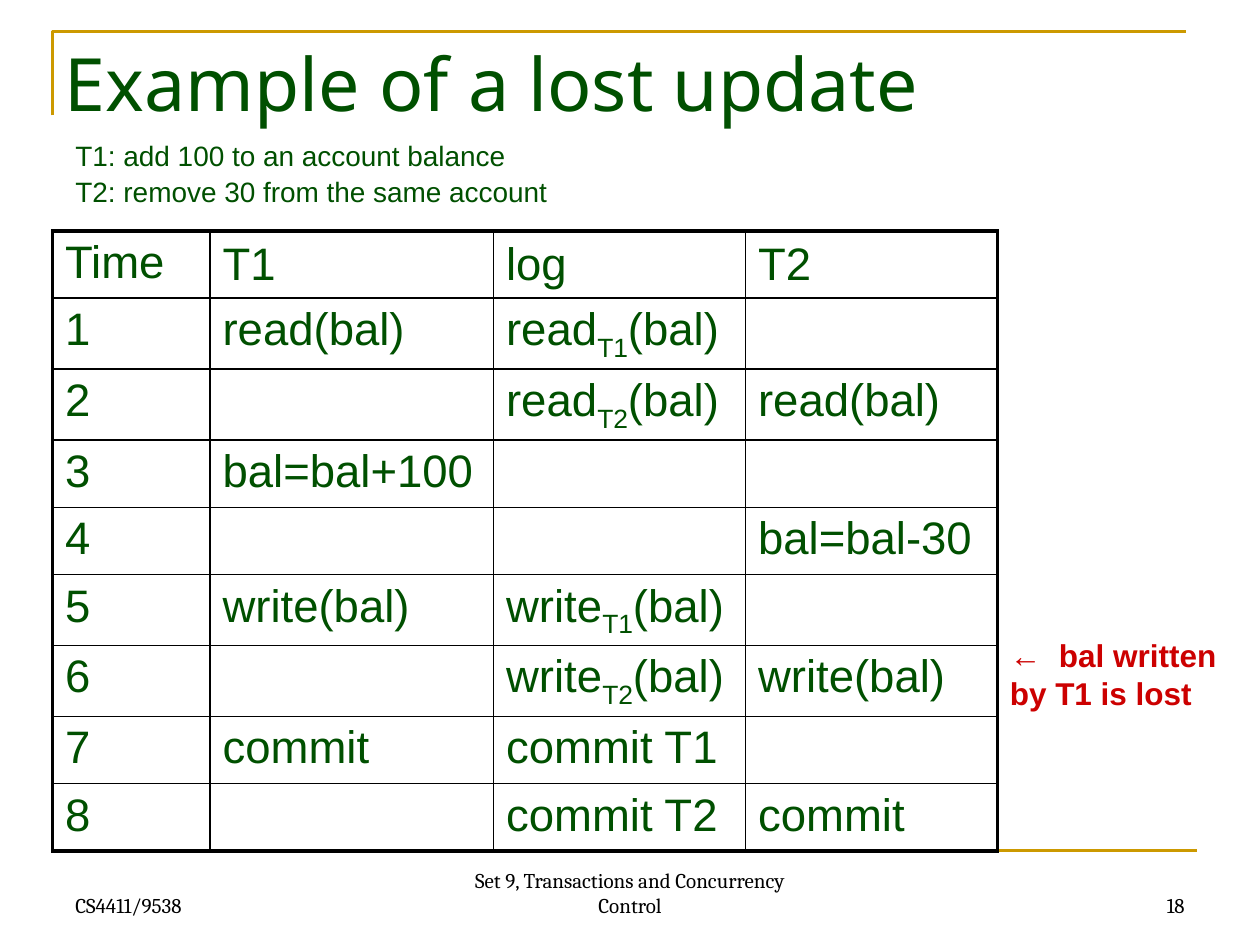
from lxml import etree
from pptx import Presentation
from pptx.dml.color import RGBColor
from pptx.enum.shapes import MSO_CONNECTOR
from pptx.enum.text import MSO_ANCHOR, PP_ALIGN
from pptx.oxml.ns import qn
from pptx.util import Inches, Pt

STRAIGHT = MSO_CONNECTOR.STRAIGHT
TOP, MIDDLE, BOTTOM = MSO_ANCHOR.TOP, MSO_ANCHOR.MIDDLE, MSO_ANCHOR.BOTTOM
LEFT, CENTER, RIGHT = PP_ALIGN.LEFT, PP_ALIGN.CENTER, PP_ALIGN.RIGHT

COLORS = {"green": "005000", "gold": "CC9900", "red": "CC0000", "black": "000000"}

# Slide grid: 120 columns by 90 rows, twelve to the inch
GRID_COLUMNS, GRID_ROWS = 120, 90
COLUMN_WIDTHS = [15, 27, 24, 24]
ROW_HEIGHT = 6.4
THIN, THICK = 1, 2.25

# A tuple holds a text, its subscript and the text that follows
SCHEDULE = [
    ["Time", "T1", "log", "T2"],
    ["1", "read(bal)", ("read", "T1", "(bal)"), ""],
    ["2", "", ("read", "T2", "(bal)"), "read(bal)"],
    ["3", "bal=bal+100", "", ""],
    ["4", "", "", "bal=bal-30"],
    ["5", "write(bal)", ("write", "T1", "(bal)"), ""],
    ["6", "", ("write", "T2", "(bal)"), "write(bal)"],
    ["7", "commit", "commit T1", ""],
    ["8", "", "commit T2", "commit"],
]


def grid(units):
    return Inches(units / 12)


def rgb(name):
    return RGBColor.from_string(COLORS[name])


def add_span(para, text, size=12, font="Arial", color="green", bold=False, subscript=False):
    span = para.add_run()
    span.text = text
    span.font.size = Pt(size)
    span.font.name = font
    span.font.bold = bold
    span.font.color.rgb = rgb(color)
    if subscript:
        span._r.get_or_add_rPr().set("baseline", "-25000")


def add_text(page, lines, place, anchor=TOP, align=LEFT,
             spacing=None, gap=0, tab=None, **style):
    box = page.shapes.add_textbox(*map(grid, place))
    frame = box.text_frame
    frame.word_wrap = True
    frame.vertical_anchor = anchor
    for index, line in enumerate(lines):
        para = frame.paragraphs[0] if index == 0 else frame.add_paragraph()
        para.alignment = align
        para.line_spacing = spacing
        if index and gap:
            para.space_before = Pt(gap)
        if tab and "\t" in line:
            stops = etree.SubElement(para._p.get_or_add_pPr(), qn("a:tabLst"))
            etree.SubElement(stops, qn("a:tab"), pos=str(Inches(tab)), algn="l")
        add_span(para, line, **style)


def style_line(shape):
    shape.line.color.rgb = rgb("gold")
    shape.line.width = Pt(1.5)


def add_corner_rule(page):
    builder = page.shapes.build_freeform(grid(5), grid(11))
    builder.add_line_segments([(grid(5), grid(3)), (grid(113), grid(3))], close=False)
    corner = builder.convert_to_shape()
    corner.shadow.inherit = False
    corner.fill.background()
    style_line(corner)


def add_bottom_rule(page):
    rule = page.shapes.add_connector(STRAIGHT, grid(6), grid(81), grid(114), grid(81))
    style_line(rule)
    etree.SubElement(rule._element.spPr, qn("a:effectLst"))


def set_borders(cell, widths):
    properties = cell._tc.get_or_add_tcPr()
    for index, (side, width) in enumerate(zip("LRTB", widths)):
        border = etree.Element(qn(f"a:ln{side}"), w=str(Pt(width)))
        fill = etree.SubElement(border, qn("a:solidFill"))
        etree.SubElement(fill, qn("a:srgbClr"), val=COLORS["black"])
        properties.insert(index, border)


def add_schedule(page, left, top):
    row_count, column_count = len(SCHEDULE), len(COLUMN_WIDTHS)
    table = page.shapes.add_table(
        row_count, column_count, grid(left), grid(top),
        grid(sum(COLUMN_WIDTHS)), grid(ROW_HEIGHT * row_count)).table
    table.first_row = table.horz_banding = False
    for column, width in zip(table.columns, COLUMN_WIDTHS):
        column.width = grid(width)
    for r, entries in enumerate(SCHEDULE):
        table.rows[r].height = grid(ROW_HEIGHT)
        for c, entry in enumerate(entries):
            cell = table.cell(r, c)
            cell.fill.background()
            cell.vertical_anchor = MIDDLE if r == 0 and c > 0 else TOP
            outer = (c == 0, c == column_count - 1, r == 0, r == row_count - 1)
            set_borders(cell, [THICK if edge else THIN for edge in outer])
            parts = entry if isinstance(entry, tuple) else (entry,)
            if len(parts) > 1:
                # The subscript reaches low, so a smaller inset keeps the row short
                cell.margin_bottom = Inches(0.02)
            for index, part in enumerate(parts):
                if part:
                    add_span(cell.text_frame.paragraphs[0], part, size=26,
                             subscript=index == 1)


def main():
    deck = Presentation()
    deck.slide_width, deck.slide_height = grid(GRID_COLUMNS), grid(GRID_ROWS)
    page = deck.slides.add_slide(deck.slide_layouts[6])

    # Frame rules
    add_corner_rule(page)
    add_bottom_rule(page)

    # Title and the two transactions
    add_text(page, ["Example of a lost update"], (5, 3, 108, 15), size=42, font="Noto Sans")
    add_text(page, ["T1: add 100 to an account balance", "T2: remove 30 from the same account"],
             (6, 13, 63, 8), size=16, spacing=0.9, gap=3.2)

    # Schedule and the remark beside step 6
    add_schedule(page, 5, 22)
    add_text(page, ["←\tbal written", "by T1 is lost"], (95, 60, 23, 8.4),
             tab=0.39, size=18, color="red", bold=True)

    # Footer
    footer = [
        ("CS4411/9538", 6, 28, LEFT),
        ("Set 9, Transactions and Concurrency Control", 41, 38, CENTER),
        ("18", 86, 28, RIGHT),
    ]
    for text, left, width, align in footer:
        add_text(page, [text], (left, 82, width, 6), anchor=BOTTOM, align=align,
                 font="Cambria", color="black")

    deck.save("out.pptx")


if __name__ == "__main__":
    main()
